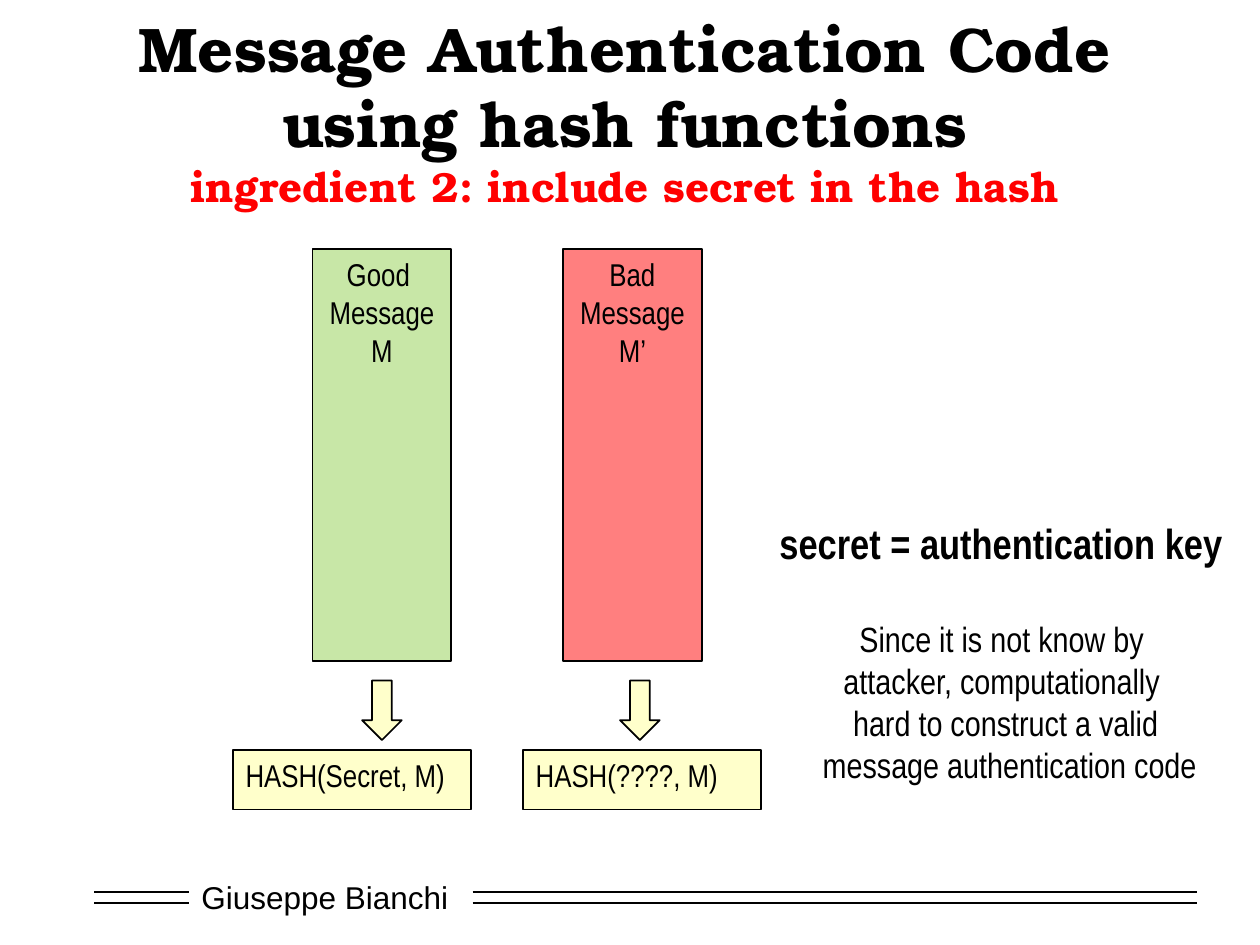
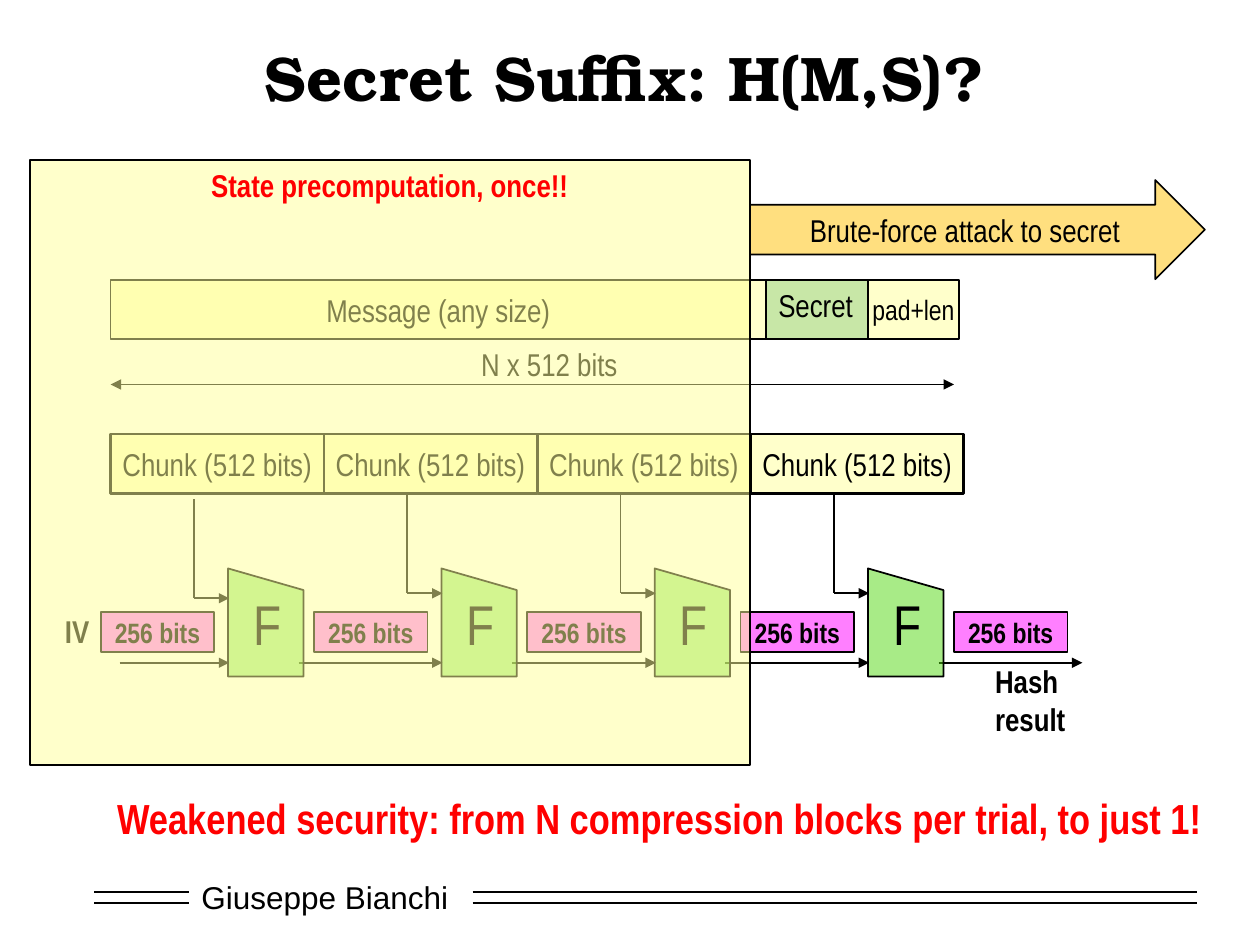
from lxml.etree import SubElement
from pptx import Presentation
from pptx.dml.color import RGBColor
from pptx.enum.shapes import MSO_CONNECTOR, MSO_SHAPE
from pptx.enum.text import MSO_ANCHOR, PP_ALIGN
from pptx.oxml.ns import qn
from pptx.util import Cm, Pt

COLOURS = {
    "black": "000000", "white": "FFFFFF", "red": "FF0000", "cream": "FFFF99",
    "lime": "92D050", "green": "53D810", "magenta": "FF00FF", "orange": "FFC000",
}
BODY, TITLE, FOOTER = "Arial Narrow", "TeX Gyre Bonum", "Arial"
CENTER, LEFT = PP_ALIGN.CENTER, PP_ALIGN.LEFT
MIDDLE, TOP = MSO_ANCHOR.MIDDLE, MSO_ANCHOR.TOP

AUTHOR = "Giuseppe Bianchi "
FOOTER_SPANS = [(1.9, 3.81), (9.53, 24.13)]
FOOTER_RULES = [17.98, 18.21]

MESSAGES = [
    {"lines": ["Good ", "Message", "M"], "fill": "lime", "left": 6.3,
     "arrow": 7.3, "hash": "HASH(Secret, M)", "hash_left": 4.7},
    {"lines": ["Bad", "Message", "M’"], "fill": "red", "left": 11.35,
     "arrow": 12.5, "hash": "HASH(????, M)", "hash_left": 10.55},
]
KEY_NOTE = [
    ("secret = authentication key ", {"size": 24, "bold": True, "after": 28.5}),
    "Since it is not know by ",
    "attacker, computationally ",
    "hard to construct a valid",
    " message authentication code",
]
MESSAGE_PARTS = [
    ("Message (any size)", 2.23, 13.21, "cream", {"size": 18, "anchor": MIDDLE, "wrap": False}),
    ("pad+len", 17.5, 1.83, "cream", {"size": 16, "anchor": MIDDLE, "wrap": False}),
    ("Secret", 15.44, 2.06, "lime", {"size": 18, "align": LEFT}),
]
STAGES, PITCH = 4, 4.3
CHUNK_LEFT, FUNCTION_LEFT, STATE_LEFT, DROP_LEFT = 2.23, 4.6, 2.03, 3.91
ENTRY, CHAIN_START, CHAIN_Y = 4.62, 1.72, 13.36


def rgb(name):
    return RGBColor.from_string(COLOURS[name])


def write(shape, lines, size=18, font=BODY, colour="black", bold=False, align=CENTER,
          anchor=TOP, wrap=True, after=0, spacing=None):
    frame = shape.text_frame
    frame.word_wrap = wrap
    frame.vertical_anchor = anchor
    for index, line in enumerate(lines):
        text, own = (line, {}) if isinstance(line, str) else line
        paragraph = frame.paragraphs[0] if index == 0 else frame.add_paragraph()
        paragraph.alignment = align
        paragraph.space_after = Pt(own.get("after", after))
        if spacing:
            paragraph.line_spacing = Pt(spacing)
        run = paragraph.add_run()
        run.text = text
        run.font.name = font
        run.font.size = Pt(own.get("size", size))
        run.font.bold = own.get("bold", bold)
        run.font.color.rgb = rgb(own.get("colour", colour))


def add_text(slide, box, lines, **style):
    write(slide.shapes.add_textbox(*map(Cm, box)), lines, **style)


def add_block(slide, box, fill, lines=(), kind=MSO_SHAPE.RECTANGLE, line_width=1, **style):
    shape = slide.shapes.add_shape(kind, *map(Cm, box))
    shape.shadow.inherit = False
    shape.fill.solid()
    shape.fill.fore_color.rgb = rgb(fill)
    colour = shape._element.spPr.find(qn("a:solidFill")).find(qn("a:srgbClr"))
    SubElement(colour, qn("a:alpha")).set("val", "50000")
    shape.line.color.rgb = rgb("black")
    shape.line.width = Pt(line_width)
    write(shape, lines, **style)
    return shape


def add_line(slide, start, end, arrows=()):
    line = slide.shapes.add_connector(MSO_CONNECTOR.STRAIGHT, *map(Cm, (*start, *end)))
    line.line.color.rgb = rgb("black")
    line.line.width = Pt(1)
    for arrow in arrows:
        SubElement(line.line._get_or_add_ln(), qn("a:" + arrow)).set("type", "triangle")
    SubElement(line._element.spPr, qn("a:effectLst"))


def add_slide(presentation, title, title_top):
    slide = presentation.slides.add_slide(presentation.slide_layouts[6])
    slide.background.fill.solid()
    slide.background.fill.fore_color.rgb = rgb("white")
    add_text(slide, (3.81, 17.58, 5.51, 1.02), [AUTHOR], font=FOOTER, align=LEFT, anchor=MIDDLE)
    for y in FOOTER_RULES:
        for left, right in FOOTER_SPANS:
            add_line(slide, (left, y), (right, y))
    add_text(slide, (1.9, title_top, 21.39, 1.8), title,
             size=36, font=TITLE, bold=True, anchor=MIDDLE)
    return slide


def build_ingredient(presentation):
    slide = add_slide(presentation, [
        "Message Authentication Code using hash functions",
        ("ingredient 2: include secret in the hash", {"size": 24, "colour": "red"}),
    ], 1.32)
    for message in MESSAGES:
        add_block(slide, (message["left"], 5.02, 2.8, 8.31), message["fill"], message["lines"])
        add_block(slide, (message["arrow"], 13.72, 0.8, 1.2), "cream", kind=MSO_SHAPE.DOWN_ARROW)
        add_block(slide, (message["hash_left"], 15.12, 4.8, 1.2), "cream",
                  [message["hash"]], align=LEFT)
    add_text(slide, (15.4, 10.31, 9.75, 5.74), KEY_NOTE, size=20, wrap=False)


def build_stage(slide, stage):
    shift = stage * PITCH
    add_block(slide, (CHUNK_LEFT + shift, 8.75, PITCH, 1.2), "cream", ["Chunk (512 bits)"],
              line_width=1.5, anchor=MIDDLE, wrap=False)
    top = 10.06 if stage == 0 else 9.96
    corner = (DROP_LEFT + shift, top + 2)
    add_line(slide, (corner[0], top), corner)
    add_line(slide, corner, (ENTRY + shift, corner[1]), ["tailEnd"])
    function = add_block(slide, (FUNCTION_LEFT + shift, 11.46, 1.52, 2.18), "green", [" F"],
                         kind=MSO_SHAPE.FLOWCHART_MANUAL_INPUT, size=32, align=LEFT, spacing=34.4)
    function._element.spPr.find(qn("a:xfrm")).set("flipH", "1")


def build_suffix(presentation):
    slide = add_slide(presentation, ["Secret Suffix: H(M,S)?"], 0.64)
    for text, left, width, fill, style in MESSAGE_PARTS:
        add_block(slide, (left, 5.64, width, 1.2), fill, [text], **style)
    add_line(slide, (2.23, 7.75), (19.23, 7.75), ["headEnd", "tailEnd"])
    add_text(slide, (9.45, 6.83, 3.28, 1.02), ["N x 512 bits"], align=LEFT, wrap=False)
    add_text(slide, (-0.4, 12.22, 3.91, 1.02), ["IV"], bold=True)
    for step in range(STAGES + 1):
        shift = step * PITCH
        start = 2.41 if step == 0 else CHAIN_START + shift
        add_line(slide, (start, CHAIN_Y), (ENTRY + shift, CHAIN_Y), ["tailEnd"])
        add_block(slide, (STATE_LEFT + shift, 12.34, 2.29, 0.81), "magenta", ["256 bits"],
                  size=16, bold=True, anchor=MIDDLE, wrap=False)
    for stage in range(STAGES):
        build_stage(slide, stage)
    add_text(slide, (19.81, 13.23, 2.41, 1.8), ["Hash result"], bold=True, align=LEFT)
    add_block(slide, (0.6, 3.22, 14.52, 12.2), "cream", ["State precomputation, once!!"],
              colour="red", bold=True)
    add_block(slide, (15.12, 3.63, 9.17, 2), "orange", ["Brute-force attack to secret"],
              kind=MSO_SHAPE.RIGHT_ARROW)
    add_text(slide, (2.11, 15.85, 22.63, 1.27),
             ["Weakened security: from N compression blocks per trial, to just 1!"],
             size=24, colour="red", bold=True, align=LEFT, wrap=False)


presentation = Presentation()
presentation.slide_width, presentation.slide_height = Cm(25.4), Cm(19.05)
build_ingredient(presentation)
build_suffix(presentation)
presentation.save("out.pptx")
